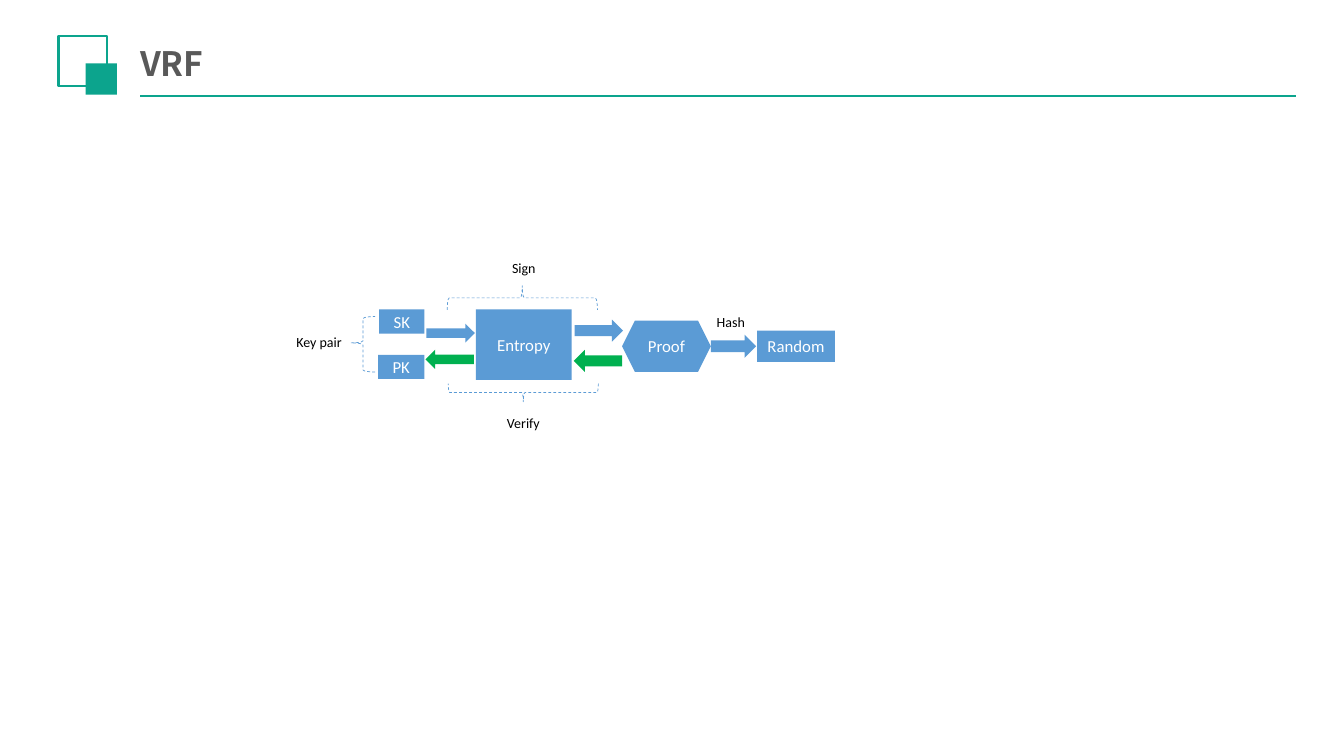
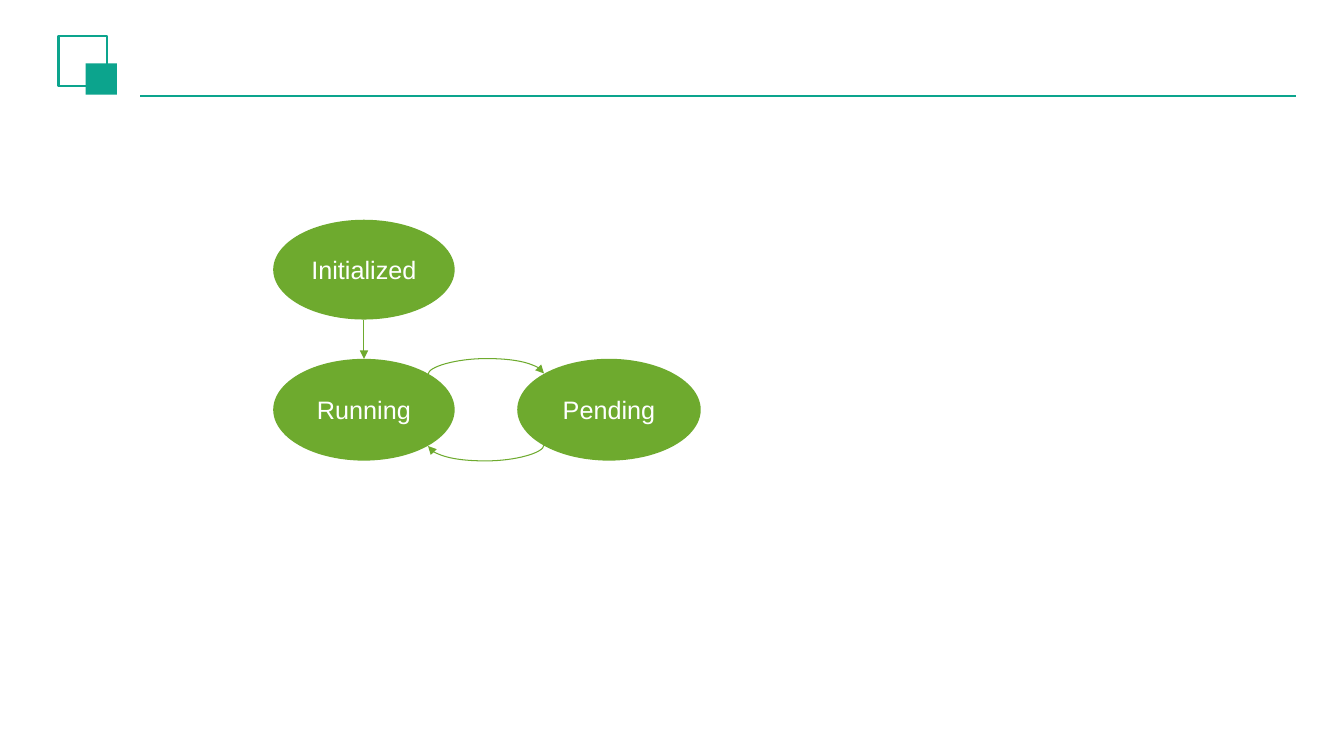
from dataclasses import dataclass

from lxml import etree
from pptx import Presentation
from pptx.dml.color import RGBColor
from pptx.enum.dml import MSO_LINE
from pptx.enum.shapes import MSO_CONNECTOR, MSO_SHAPE
from pptx.enum.text import MSO_ANCHOR, PP_ALIGN
from pptx.oxml.ns import qn
from pptx.util import Inches, Pt


@dataclass(frozen=True)
class Theme:
    teal: str = "0CA48D"
    white: str = "FFFFFF"
    black: str = "000000"
    title_gray: str = "595959"
    blue: str = "5B9BD5"
    verify_green: str = "00B050"
    state_green: str = "6EAA2E"
    title_font: str = "Noto Sans CJK SC"
    flow_font: str = "Calibri"
    state_font: str = "Arial"
    title_size: int = 24
    node_size: int = 12
    label_size: int = 10
    state_size: int = 18


THEME = Theme()
TOP_RIGHT, BOTTOM_RIGHT, TOP_LEFT, BOTTOM_LEFT, TOP, BOTTOM = 7, 5, 1, 3, 0, 4


def rgb(value):
    return RGBColor.from_string(value)


def write(sp, text, font, size, color, bold=False, align=PP_ALIGN.LEFT):
    tf = sp.text_frame
    tf.text = text
    p = tf.paragraphs[0]
    p.alignment = align
    r = p.runs[0]
    r.font.name = font
    r.font.size = Pt(size)
    r.font.color.rgb = rgb(color)
    r.font.bold = bold
    return tf


def add_shape(s, kind, box, fill=None, line=None, width=0.5, rotation=0):
    sp = s.shapes.add_shape(kind, *map(Inches, box))
    sp.shadow.inherit = False
    sp.rotation = rotation
    if fill:
        sp.fill.solid()
        sp.fill.fore_color.rgb = rgb(fill)
    else:
        sp.fill.background()
    if line:
        sp.line.color.rgb = rgb(line)
        sp.line.width = Pt(width)
    else:
        sp.line.fill.background()
    return sp


def add_node(s, kind, box, text, fill, font, size):
    sp = add_shape(s, kind, box, fill)
    tf = write(sp, text, font, size, THEME.white, align=PP_ALIGN.CENTER)
    tf.vertical_anchor = MSO_ANCHOR.MIDDLE
    return sp


def add_line(s, kind, start, end, color, width):
    c = s.shapes.add_connector(kind, *map(Inches, (*start, *end)))
    c.line.color.rgb = rgb(color)
    c.line.width = Pt(width)
    etree.SubElement(c._element.spPr, qn("a:effectLst"))
    return c


def add_transition(s, kind, start, end, source, target):
    c = add_line(s, kind, start, end, THEME.state_green, 0.75)
    etree.SubElement(c.line._get_or_add_ln(), qn("a:tailEnd"), type="triangle")
    links = c._element.nvCxnSpPr.cNvCxnSpPr
    for tag, (state, site) in (("a:stCxn", source), ("a:endCxn", target)):
        etree.SubElement(links, qn(tag), id=str(state.shape_id), idx=str(site))
    return c


def add_arc(s, center, span, rise, above, source, target):
    thin = 0.01
    x, y = center
    start = (x - thin / 2, y - span / 2)
    end = (x + thin / 2, y + span / 2)
    if above:
        start, end = end, start
    c = add_transition(s, MSO_CONNECTOR.CURVE, start, end, source, target)
    c._element.spPr.find(qn("a:xfrm")).set("rot", "5400000")
    geom = c._element.spPr.find(qn("a:prstGeom"))
    guides = geom.find(qn("a:avLst"))
    if guides is None:
        guides = etree.SubElement(geom, qn("a:avLst"))
    bend = round(rise / thin * 100000)
    etree.SubElement(guides, qn("a:gd"), name="adj1", fmla=f"val {bend}")


def add_header(s, title=None, left=0.58, top=0.36):
    add_line(s, MSO_CONNECTOR.STRAIGHT, (left + 0.81, top + 0.59),
             (left + 12.27, top + 0.59), THEME.teal, 1.25)
    add_shape(s, MSO_SHAPE.RECTANGLE, (left, top, 0.48, 0.49),
              THEME.white, THEME.teal, 1.5)
    add_shape(s, MSO_SHAPE.RECTANGLE, (left + 0.27, top + 0.27, 0.31, 0.31),
              THEME.teal)
    if title:
        box = (left + 0.74, top + 0.03, 8.6, 0.48)
        sp = s.shapes.add_textbox(*map(Inches, box))
        tf = write(sp, title, THEME.title_font, THEME.title_size,
                   THEME.title_gray, bold=True)
        tf.word_wrap = True
        tf.vertical_anchor = MSO_ANCHOR.MIDDLE
        tf.margin_left = tf.margin_right = Inches(0.07)
        tf.margin_top = tf.margin_bottom = Inches(0.04)


def add_vrf_flow(s, left, top):
    def place(x, y, w, h):
        return left + x, top + y, w, h

    nodes = (
        (MSO_SHAPE.RECTANGLE, (0.92, 0.54, 0.45, 0.24), "SK"),
        (MSO_SHAPE.RECTANGLE, (0.91, 0.99, 0.46, 0.24), "PK"),
        (MSO_SHAPE.RECTANGLE, (1.88, 0.54, 0.95, 0.7), "Entropy"),
        (MSO_SHAPE.HEXAGON, (3.33, 0.65, 0.88, 0.51), "Proof"),
        (MSO_SHAPE.RECTANGLE, (4.67, 0.75, 0.77, 0.31), "Random"),
    )
    for kind, box, text in nodes:
        add_node(s, kind, place(*box), text, THEME.blue,
                 THEME.flow_font, THEME.node_size)

    arrows = (
        ((1.39, 0.68, 0.48, 0.19), THEME.blue, 0),
        ((2.86, 0.64, 0.48, 0.22), THEME.blue, 0),
        ((4.21, 0.79, 0.45, 0.23), THEME.blue, 0),
        ((1.38, 0.94, 0.48, 0.19), THEME.verify_green, 180),
        ((2.85, 0.94, 0.48, 0.22), THEME.verify_green, 180),
    )
    for box, color, rotation in arrows:
        add_shape(s, MSO_SHAPE.RIGHT_ARROW, place(*box), color,
                  rotation=rotation)

    braces = (
        ((2.22, -0.32, 0.24, 1.49), 270, 0.5),
        ((2.26, 0.62, 0.18, 1.49), 90, 0.5),
        ((0.64, 0.61, 0.24, 0.55), 180, 0.525),
    )
    for box, rotation, tip in braces:
        sp = add_shape(s, MSO_SHAPE.RIGHT_BRACE, place(*box),
                       line=THEME.blue, rotation=rotation)
        sp.line.dash_style = MSO_LINE.DASH
        sp.adjustments[1] = tip

    labels = (
        ((2.14, 0, 0.51, 0.27), "Sign"),
        ((4.17, 0.53, 0.51, 0.27), "Hash"),
        ((2.09, 1.53, 0.62, 0.27), "Verify"),
        ((0, 0.73, 0.79, 0.27), "Key pair"),
    )
    for box, text in labels:
        sp = s.shapes.add_textbox(*map(Inches, place(*box)))
        tf = write(sp, text, THEME.flow_font, THEME.label_size, THEME.black)
        tf.word_wrap = False


def add_state_machine(s, left, top):
    def state(text, x, y, w, h):
        return add_node(s, MSO_SHAPE.OVAL, (left + x, top + y, w, h), text,
                        THEME.state_green, THEME.state_font, THEME.state_size)

    pending = state("Pending", 2.42, 1.38, 1.82, 1.01)
    initialized = state("Initialized", 0, 0, 1.8, 0.99)
    running = state("Running", 0, 1.38, 1.8, 1.01)

    add_transition(s, MSO_CONNECTOR.STRAIGHT, (left + 0.9, top + 0.99),
                   (left + 0.9, top + 1.38), (initialized, BOTTOM),
                   (running, TOP))
    add_arc(s, (left + 2.11, top + 1.53), 1.15, 0.16, True,
            (running, TOP_RIGHT), (pending, TOP_LEFT))
    add_arc(s, (left + 2.11, top + 2.24), 1.15, 0.16, False,
            (pending, BOTTOM_LEFT), (running, BOTTOM_RIGHT))


def main():
    prs = Presentation()
    prs.slide_width = Inches(13.33)
    prs.slide_height = Inches(7.5)
    blank = prs.slide_layouts[6]

    s = prs.slides.add_slide(blank)
    add_header(s, "VRF")
    add_vrf_flow(s, 2.84, 2.53)

    s = prs.slides.add_slide(blank)
    add_header(s)
    add_state_machine(s, 2.71, 2.18)

    prs.save("out.pptx")


if __name__ == "__main__":
    main()
